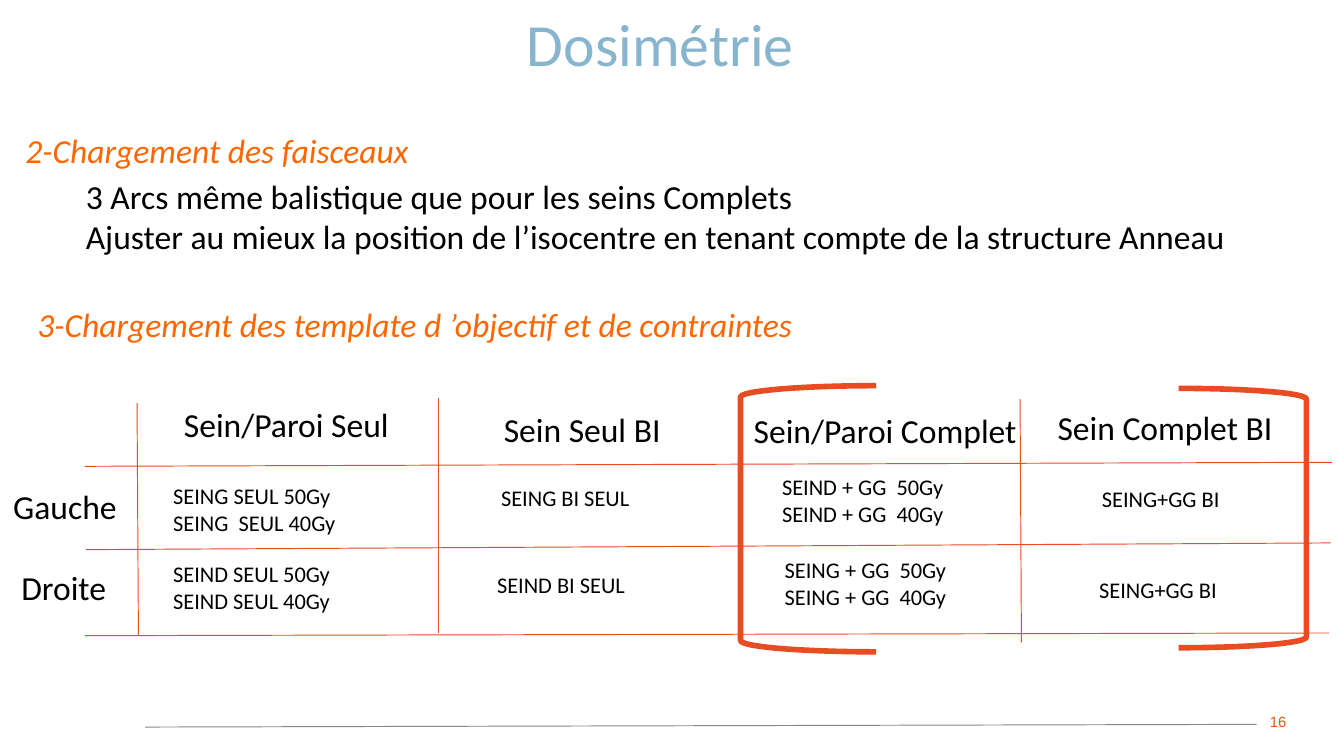
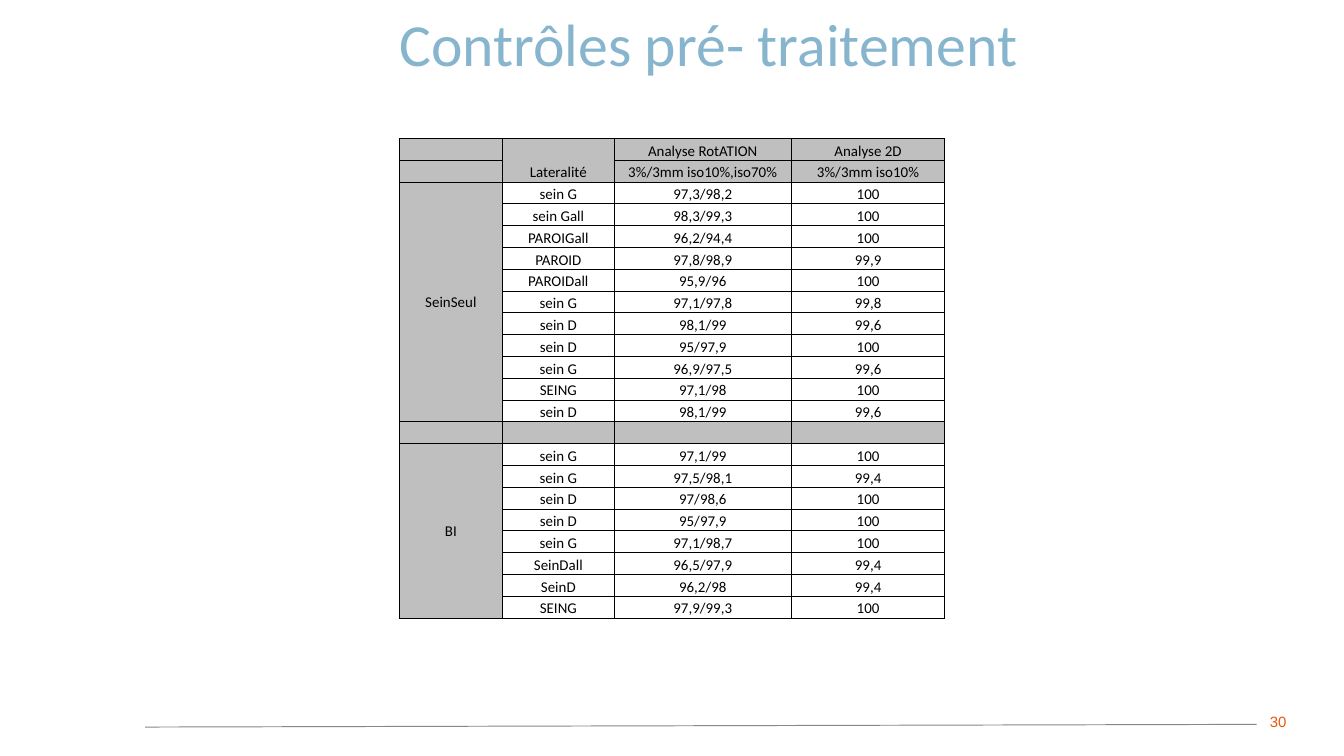
from lxml import etree
from pptx import Presentation
from pptx.dml.color import RGBColor
from pptx.enum.shapes import MSO_CONNECTOR as CONN, MSO_SHAPE as SHAPE
from pptx.enum.text import MSO_ANCHOR as ANCHOR, MSO_AUTO_SIZE as AUTO, PP_ALIGN as ALIGN
from pptx.oxml import parse_xml
from pptx.oxml.ns import nsdecls, qn
from pptx.util import Inches, Pt

BLUE = RGBColor(0x87, 0xB5, 0xCE)
ORANGE = RGBColor(0xFF, 0x66, 0x00)
RED = RGBColor(0xE8, 0x4C, 0x22)
NUMBER = RGBColor(0xEA, 0x56, 0x0D)
RULE = RGBColor(0x87, 0x87, 0x87)
GREY = RGBColor(0xBF, 0xBF, 0xBF)
BLACK = RGBColor(0, 0, 0)
WHITE = RGBColor(0xFF, 0xFF, 0xFF)

W = Inches(10)
H = W * 9 // 16
UNIT = W // 100  # one column or row of the grid: 1 % of the slide width

# Left, top, width, text of each label, in grid units from the protocol corner
HEADERS = [(12.7, 0.9, 19.9, "Sein/Paroi Seul"), (36.5, 1.2, 18.5, "Sein Seul BI"),
           (55.1, 1.3, 21.7, "Sein/Paroi Complet"), (77.7, 1.1, 20.1, "Sein Complet BI"),
           (0, 7, 12.8, "Gauche"), (0.6, 13, 12.8, "Droite")]
TEMPLATES = [(11.9, 6.7, 14.2, "SEING SEUL 50Gy\nSEING  SEUL 40Gy"),
             (11.9, 12.5, 13.8, "SEIND SEUL 50Gy\nSEIND SEUL 40Gy"),
             (36.3, 6.8, 11.7, "SEING BI SEUL"), (36, 13.3, 11.6, "SEIND BI SEUL"),
             (57.2, 6, 14.2, "SEIND + GG  50Gy\nSEIND + GG  40Gy"),
             (57.4, 12.2, 14.2, "SEING + GG  50Gy\nSEING + GG  40Gy"),
             (81, 6.9, 10.9, "SEING+GG BI"), (80.8, 13.7, 10.9, "SEING+GG BI")]
# Start and end of each rule of the protocol grid
GRID_LINES = [(6.3, 6, 99.1, 5.7), (6.4, 12.2, 99, 11.7), (6.3, 18.6, 98.9, 18.4),
              (10.2, 1.3, 10.3, 18.6), (32.6, 0.9, 32.6, 18.4),
              (55, 1.1, 55.2, 19.1), (75.9, 1, 76, 19.1)]

COLUMN_WIDTHS = [7.7, 8.3, 13.2, 11.4]
HEAD_ROWS = [("", "Lateralité", "Analyse RotATION", "Analyse 2D"),
             ("", "", "3%/3mm iso10%,iso70%", "3%/3mm iso10%")]
SEIN_SEUL = [("sein G", "97,3/98,2", "100"), ("sein Gall", "98,3/99,3", "100"),
             ("PAROIGall", "96,2/94,4", "100"), ("PAROID", "97,8/98,9", "99,9"),
             ("PAROIDall", "95,9/96", "100"), ("sein G", "97,1/97,8", "99,8"),
             ("sein D", "98,1/99", "99,6"), ("sein D", "95/97,9", "100"),
             ("sein G", "96,9/97,5", "99,6"), ("SEING", "97,1/98", "100"),
             ("sein D", "98,1/99", "99,6")]
BI = [("sein G", "97,1/99", "100"), ("sein G", "97,5/98,1", "99,4"),
      ("sein D", "97/98,6", "100"), ("sein D", "95/97,9", "100"),
      ("sein G", "97,1/98,7", "100"), ("SeinDall", "96,5/97,9", "99,4"),
      ("SeinD", "96,2/98", "99,4"), ("SEING", "97,9/99,3", "100")]


def units(*lengths):
    return [round(n * UNIT) for n in lengths]


def style(tf, size, color, font="Calibri", italic=False):
    for p in tf.paragraphs:
        for r in p.runs:
            r.font.size, r.font.name, r.font.italic = Pt(size), font, italic
            r.font.color.rgb = color


def add_text(slide, box, text, size=18, color=BLACK, wrap=True, **kw):
    tf = slide.shapes.add_textbox(*units(*box)).text_frame
    tf.text = text
    tf.word_wrap = wrap
    tf.auto_size = AUTO.SHAPE_TO_FIT_TEXT
    style(tf, size, color, **kw)
    return tf


def add_line(slide, ends, color):
    line = slide.shapes.add_connector(CONN.STRAIGHT, *units(*ends))
    line.line.color.rgb, line.line.width = color, Pt(0.5)
    etree.SubElement(line._element.spPr, qn("a:effectLst"))


def base_slide(prs, title, box, number):
    """Title, footer rule and slide number."""
    slide = prs.slides.add_slide(prs.slide_layouts[5])
    sp = slide.shapes.title
    sp.left, sp.top, sp.width, sp.height = units(*box)
    tf = sp.text_frame
    tf.text = title
    tf.word_wrap, tf.auto_size = True, AUTO.NONE
    tf.vertical_anchor = ANCHOR.TOP
    tf.paragraphs[0].alignment = ALIGN.LEFT
    style(tf, 32, BLUE)

    add_line(slide, (10.8, 54.1, 93.5, 53.9), RULE)
    tf = add_text(slide, (93.5, 52.7, 4.3, 2.5), number, 8, NUMBER, font="Arial")
    tf.auto_size = AUTO.NONE
    tf.paragraphs[0].line_spacing = 0.9
    return slide


def add_steps(slide, box):
    """Numbered steps with their details."""
    x, y, w, _ = box
    add_text(slide, (x, y, 30.8, 4), "2-Chargement des faisceaux",
             color=ORANGE, wrap=False, italic=True)
    add_text(slide, (x + 4.5, y + 3.4, w - 4.5, 7.1),
             "3 Arcs même balistique que pour les seins Complets\n"
             "Ajuster au mieux la position de l’isocentre en tenant compte "
             "de la structure Anneau")
    add_text(slide, (x + 0.9, y + 12.9, 58.8, 4),
             "3-Chargement des template d ’objectif et de contraintes",
             color=ORANGE, wrap=False, italic=True)


def add_bracket(slide, box, flip=False):
    sp = slide.shapes.add_shape(SHAPE.LEFT_BRACKET, *units(*box))
    sp.shadow.inherit = False
    sp.fill.background()
    sp.line.color.rgb, sp.line.width = RED, Pt(3)
    if flip:
        sp._element.spPr.xfrm.set("flipH", "1")


def add_protocols(slide, left, top):
    """Grid of templates by side and type, with the bracketed columns."""
    for x1, y1, x2, y2 in GRID_LINES:
        add_line(slide, (left + x1, top + y1, left + x2, top + y2), RED)
    for x, y, w, text in HEADERS:
        add_text(slide, (left + x, top + y, w, 4), text)
    for x, y, w, text in TEMPLATES:
        height = 3 + 2 * text.count("\n")
        add_text(slide, (left + x, top + y, w, height), text, 12, wrap=False)
    add_bracket(slide, (left + 55.1, top, 10.1, 19.8))
    add_bracket(slide, (left + 87.7, top + 0.2, 9.5, 19.3), flip=True)


def format_cell(cell, text, fill, anchor):
    cell.text = text
    cell.margin_left = cell.margin_right = cell.margin_top = Inches(0.01)
    cell.margin_bottom = 0
    cell.vertical_anchor = anchor
    p = cell.text_frame.paragraphs[0]
    p.alignment = ALIGN.CENTER
    style(cell.text_frame, 8, BLACK)
    if not text:  # keeps empty rows as low as the others
        etree.SubElement(p._p, qn("a:endParaRPr")).set("sz", "800")
    tcPr = cell._tc.get_or_add_tcPr()
    for side in "LRTB":
        tcPr.append(parse_xml(
            f'<a:ln{side} {nsdecls("a")} w="6350"><a:solidFill>'
            f'<a:srgbClr val="{BLACK}"/></a:solidFill></a:ln{side}>'))
    cell.fill.solid()
    cell.fill.fore_color.rgb = fill


def add_results(slide, box):
    """Table of pre-treatment checks, grouped in the first column."""
    rows = list(HEAD_ROWS)
    spans = [(0, 1, 1)]  # first row, last row, column
    grey_rows = {0, 1}
    for name, group in (("SeinSeul", SEIN_SEUL), ("BI", BI)):
        if len(rows) > len(HEAD_ROWS):
            grey_rows.add(len(rows))
            rows.append(("",) * 4)
        spans.append((len(rows), len(rows) + len(group) - 1, 0))
        rows += [(name if i == 0 else "", *row) for i, row in enumerate(group)]

    table = slide.shapes.add_table(len(rows), 4, *units(*box)).table
    table.first_row = table.horz_banding = False
    for col, width in zip(table.columns, units(*COLUMN_WIDTHS)):
        col.width = width
    for i, row in enumerate(rows):
        table.rows[i].height = round(box[3] * UNIT / len(rows))
        for j, text in enumerate(row):
            grey = j == 0 or i in grey_rows
            format_cell(table.cell(i, j), text, GREY if grey else WHITE,
                        ANCHOR.MIDDLE if j == 0 else ANCHOR.BOTTOM)
    for first, last, j in spans:
        table.cell(first, j).merge(table.cell(last, j))


def main():
    prs = Presentation()
    prs.slide_width, prs.slide_height = W, H

    slide = base_slide(prs, "Dosimétrie", (38.2, 0, 23.5, 6.4), "16")
    add_steps(slide, (0.9, 9.2, 93.6, 17))
    add_protocols(slide, 0, 28.7)

    slide = base_slide(prs, "Contrôles pré- traitement", (28.7, 0, 48.6, 6.4), "30")
    add_results(slide, (29.7, 10.3, 40.6, 35.7))

    prs.save("out.pptx")


if __name__ == "__main__":
    main()
